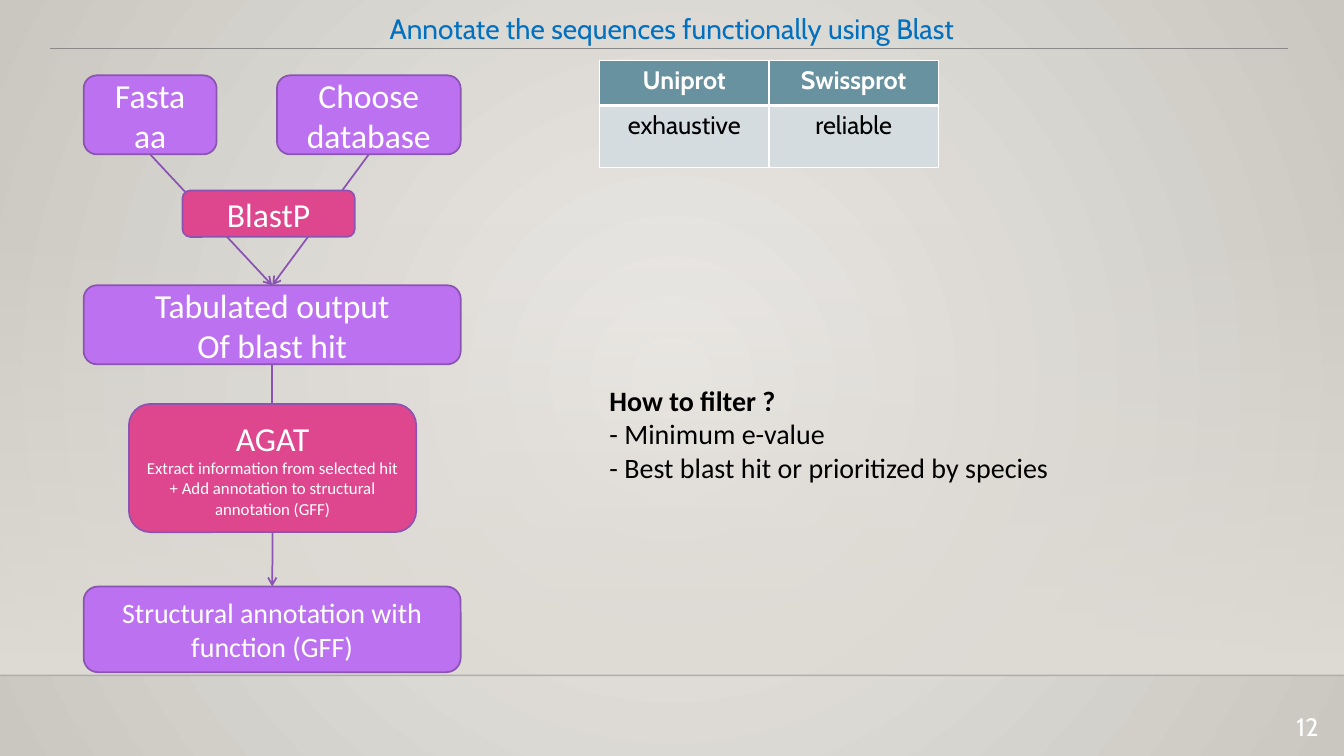
from dataclasses import dataclass
from typing import Optional

import pptx
import pptx.dml.color
import pptx.enum.shapes
import pptx.enum.text
import pptx.oxml
import pptx.oxml.ns
import pptx.util
from pptx.util import Cm, Pt

PURPLE, PINK, EDGE = "BC72F0", "DE478E", "8B54B2"
WHITE, BLACK = "FFFFFF", "000000"
ALIGN = pptx.enum.text.PP_ALIGN
NS = pptx.oxml.ns.nsdecls("a")


@dataclass
class Line:
    text: str
    size: float
    bold: bool = False


@dataclass
class Step:
    name: str
    left: float
    top: float
    width: float
    height: float
    fill: str
    lines: list[Line]


@dataclass
class Link:
    start: str
    end: Optional[str]  # None: ends at the point "to"
    to: tuple[float, float] = (0, 0)


def rgb(value: str) -> pptx.dml.color.RGBColor:
    return pptx.dml.color.RGBColor.from_string(value)


def xml(text: str):
    return pptx.oxml.parse_xml(text)


def set_gradient(fill, root, stops: list[tuple[str, int]], direction: str) -> None:
    """Fill with two stops, each a colour and an opacity in percent."""
    fill.gradient()
    old = root.find(".//" + pptx.oxml.ns.qn("a:gradFill"))
    gs = "".join(
        f'<a:gs pos="{i * 100000}"><a:srgbClr val="{c}"><a:alpha val="{a * 1000}"/></a:srgbClr></a:gs>'
        for i, (c, a) in enumerate(stops))
    new = xml(f'<a:gradFill {NS} rotWithShape="1"><a:gsLst>{gs}</a:gsLst>{direction}</a:gradFill>')
    old.getparent().replace(old, new)


def write(tf, lines: list[Line], font: str, color: str, align) -> None:
    tf.word_wrap = True
    for i, line in enumerate(lines):
        p = tf.paragraphs[0] if i == 0 else tf.add_paragraph()
        p.text = line.text
        p.alignment = align
        p.font.name, p.font.size, p.font.bold = font, Pt(line.size), line.bold
        p.font.color.rgb = rgb(color)


def add_text(slide, left: float, top: float, width: float, height: float,
             lines: list[Line], font: str, color: str, align):
    tf = slide.shapes.add_textbox(Cm(left), Cm(top), Cm(width), Cm(height)).text_frame
    write(tf, lines, font, color, align)
    return tf


def add_step(slide, step: Step):
    sp = slide.shapes.add_shape(
        pptx.enum.shapes.MSO_SHAPE.ROUNDED_RECTANGLE,
        Cm(step.left), Cm(step.top), Cm(step.width), Cm(step.height))
    sp.shadow.inherit = False
    sp.fill.solid()
    sp.fill.fore_color.rgb = rgb(step.fill)
    sp.line.color.rgb = rgb(EDGE)
    sp.line.width = Pt(1.25)
    sp.text_frame.vertical_anchor = pptx.enum.text.MSO_ANCHOR.MIDDLE
    write(sp.text_frame, step.lines, "Calibri", WHITE, ALIGN.CENTER)
    return sp


def add_line(slide, x1: float, y1: float, x2: float, y2: float, color: str, width: float):
    cxn = slide.shapes.add_connector(
        pptx.enum.shapes.MSO_CONNECTOR.STRAIGHT, Cm(x1), Cm(y1), Cm(x2), Cm(y2))
    cxn.line.color.rgb = rgb(color)
    cxn.line.width = Pt(width)
    cxn._element.spPr.append(xml(f"<a:effectLst {NS}/>"))
    return cxn


def add_arrow(slide, link: Link, boxes: dict) -> None:
    cxn = add_line(slide, 0, 0, *link.to, EDGE, 1.25)
    cxn.begin_connect(boxes[link.start], 2)
    if link.end:
        cxn.end_connect(boxes[link.end], 0)
    cxn.line._get_or_add_ln().append(xml(f'<a:tailEnd {NS} type="arrow"/>'))


def set_borders(cell, bottom: float) -> None:
    tc_pr = cell._tc.get_or_add_tcPr()
    for side, width in zip("LRTB", (1, 1, 1, bottom)):
        tc_pr.append(xml(
            f'<a:ln{side} {NS} w="{int(Pt(width))}"><a:solidFill><a:srgbClr val="{WHITE}"/>'
            f"</a:solidFill></a:ln{side}>"))


def add_databases(slide, rows: list[list[str]]) -> None:
    table = slide.shapes.add_table(2, 2, Cm(15.11), Cm(1.52), Cm(8.54), Cm(2.7)).table
    for row, height in zip(table.rows, (1.14, 1.56)):
        row.height = Cm(height)
    for r, texts in enumerate(rows):
        header = r == 0
        for c, text in enumerate(texts):
            cell = table.cell(r, c)
            set_borders(cell, 3 if header else 1)
            cell.fill.solid()
            cell.fill.fore_color.rgb = rgb("6892A0" if header else "D4DCDF")
            write(cell.text_frame, [Line(text, 18, header)], "Cabin",
                  WHITE if header else BLACK, ALIGN.CENTER)


STEPS = [
    Step("database", 6.98, 1.9, 4.63, 1.99, PURPLE, [Line("Choose database", 24)]),
    Step("output", 2.11, 7.19, 9.5, 1.99, PURPLE,
         [Line("Tabulated output", 24), Line("Of blast hit", 24)]),
    Step("fasta", 2.11, 1.9, 3.35, 1.99, PURPLE, [Line("Fasta", 24), Line("aa", 24)]),
    Step("result", 2.11, 14.78, 9.5, 2.16, PURPLE,
         [Line("Structural annotation with function (GFF)", 20)]),
]
TOOLS = [
    Step("blastp", 4.6, 4.8, 4.34, 1.17, PINK, [Line("BlastP", 24)]),
    Step("agat", 3.25, 10.18, 7.24, 3.23, PINK, [
        Line("AGAT", 24),
        Line("Extract information from selected hit + Add annotation to structural annotation (GFF)", 12)]),
]
LINKS = [
    Link("fasta", "output"),
    Link("database", "output"),
    Link("output", None, (6.86, 10.62)),
]


def main() -> None:
    prs = pptx.Presentation()
    prs.slide_width, prs.slide_height = Cm(33.87), Cm(19.05)
    slide = prs.slides.add_slide(prs.slide_layouts[6])

    # Backdrop
    set_gradient(slide.background.fill, slide._element, [("ECEAE7", 100), ("CAC7C1", 100)],
                 '<a:path path="circle"><a:fillToRect l="50000" t="50000" r="50000" b="50000"/></a:path>')
    band = slide.shapes.add_shape(
        pptx.enum.shapes.MSO_SHAPE.RECTANGLE, 0, Cm(5.61), prs.slide_width, Cm(11.41))
    band.shadow.inherit = False
    band.line.fill.background()
    set_gradient(band.fill, band._element, [("DFDBD5", 0), ("DFDBD5", 100)],
                 '<a:lin ang="5400000" scaled="0"/>')
    floor = add_line(slide, 0, 17.02, 33.87, 17.02, "000001", 1)
    floor_color = floor._element.spPr.find(".//" + pptx.oxml.ns.qn("a:srgbClr"))
    floor_color.append(xml(f'<a:alpha {NS} val="20000"/>'))
    add_line(slide, 1.27, 1.23, 32.46, 1.23, "8A8A8A", 0.75)

    # Title and slide number
    title = add_text(slide, 0, 0, 33.87, 1.24,
                     [Line("Annotate the sequences functionally using Blast", 20)],
                     "Cabin", "0270C0", ALIGN.CENTER)
    title.paragraphs[0].line_spacing = 1.2
    add_text(slide, 31.12, 17.81, 2.36, 0.86, [Line("12", 18)], "Cabin", WHITE, ALIGN.RIGHT)

    # Workflow: the tools cover the arrows between the data boxes
    boxes = {step.name: add_step(slide, step) for step in STEPS}
    for link in LINKS:
        add_arrow(slide, link, boxes)
    boxes |= {tool.name: add_step(slide, tool) for tool in TOOLS}
    add_arrow(slide, Link("agat", "result"), boxes)

    # Databases and filter advice
    add_databases(slide, [["Uniprot", "Swissprot"], ["exhaustive", "reliable"]])
    add_text(slide, 15.11, 9.53, 12.78, 2.82,
             [Line("How to filter ?", 20, True), Line("- Minimum e-value", 20),
              Line("- Best blast hit or prioritized by species", 20)],
             "Calibri", BLACK, ALIGN.LEFT)

    prs.save("out.pptx")


if __name__ == "__main__":
    main()
